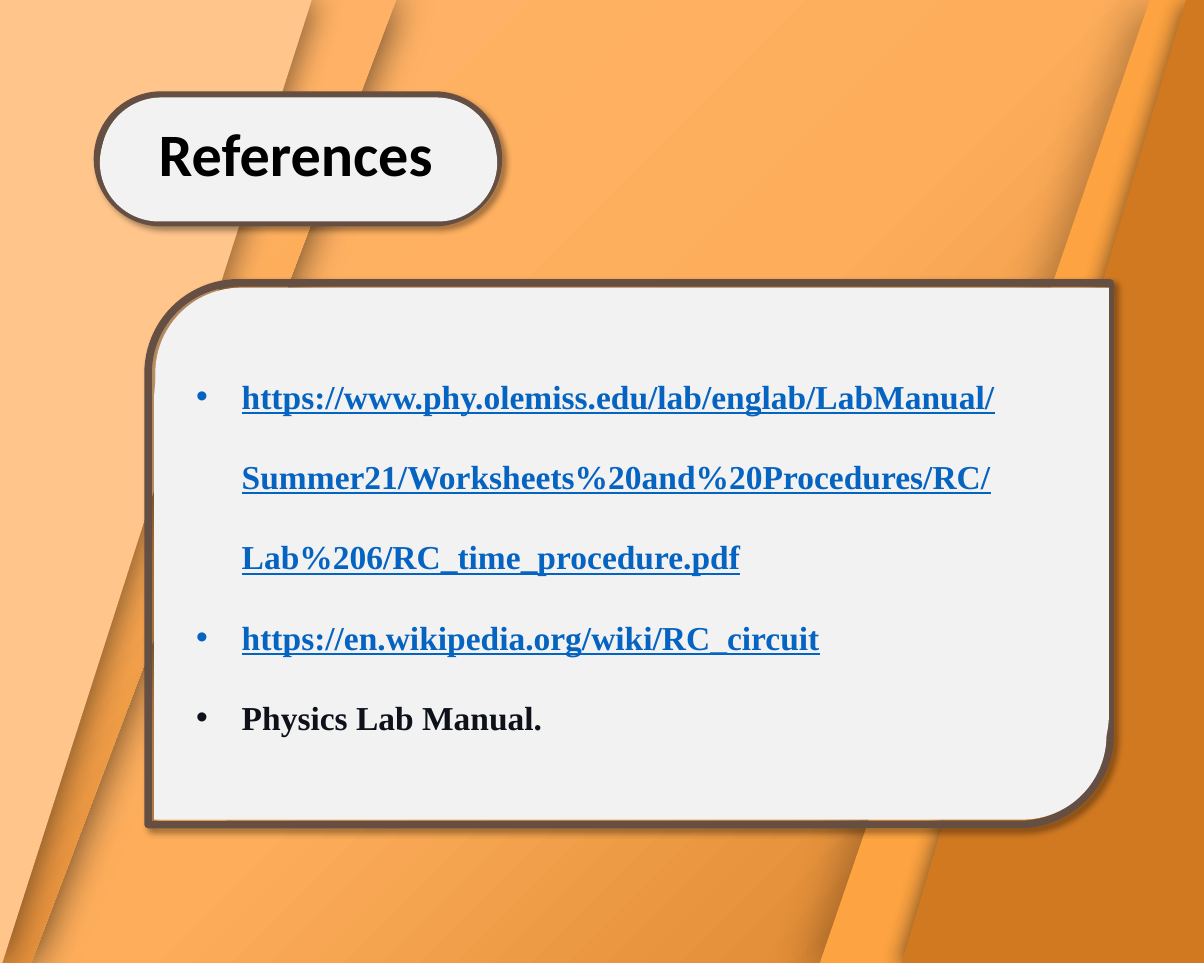
from lxml.etree import SubElement
from pptx import Presentation
from pptx.dml.color import RGBColor
from pptx.enum.shapes import MSO_SHAPE
from pptx.enum.text import MSO_AUTO_SIZE
from pptx.oxml.ns import qn
from pptx.util import Inches, Pt

W, H = 10, 8
BROWN, PALE, LINK, INK = "654F43", "F2F2F2", "0563C1", "0E101A"
SOFT = ("000000", 40, 4, 3, 45)  # colour, opacity %, blur pt, distance pt, angle

BACKDROP = [(0, "FFB66D"), (18, "FFB265"), (50, "FEAE5B"), (100, "D17921")]
STRIPE = [(0, "FFB66D"), (32, "FFB265"), (42, "FEAE5B"), (100, "D17921")]
LEFT, RIGHT = -0.15, 10.05  # outer edges of the slanted bands

# outer edge, slanted edge at top and bottom, fill, shadow
BANDS = [
    (LEFT, 3.29, 0.26, STRIPE, ("000000", 68, 26, 0, 0)),
    (LEFT, 2.59, 0.02, "FFC58B", ("000000", 45, 19, 3, 0)),
    (RIGHT, 9.55, 6.81, "FDA341", ("000000", 26, 25, 10, 150)),
    (RIGHT, 9.85, 7.49, "D17921", ("000000", 48, 12, 3, 135)),
]

# preset, corner size, frame box, boxes of the pale panels
PLATES = [
    (MSO_SHAPE.ROUNDED_RECTANGLE, 0.5, (0.81, 0.79, 3.33, 1.06),
     [(0.84, 0.81, 3.28, 1), (0.83, 0.86, 3.3, 0.98)]),
    (MSO_SHAPE.ROUND_2_DIAG_RECTANGLE, 0.16667, (1.23, 2.35, 7.99, 4.5),
     [(1.29, 2.39, 7.92, 4.26), (1.28, 2.61, 7.91, 4.2)]),
]

TITLE, TITLE_BOX = "References", (1.22, 0.92, 3.01, 0.71)
REFERENCES_BOX = (1.53, 2.74, 7.4, 3.36)
REFERENCES = [
    ("https://www.phy.olemiss.edu/lab/englab/LabManual/Summer21/"
     "Worksheets%20and%20Procedures/RC/Lab%206/RC_time_procedure.pdf", True),
    ("https://en.wikipedia.org/wiki/RC_circuit", True),
    ("Physics Lab Manual.", False),
]


def rgb(value):
    return RGBColor.from_string(value)


def child(parent, tag, **attrs):
    return SubElement(parent, qn(tag), {k: str(v) for k, v in attrs.items()})


def set_gradient(grad, stops, angle=None):
    """Fill a gradFill element; without an angle it spreads from the top left."""
    for old in list(grad):
        grad.remove(old)
    gs_list = child(grad, "a:gsLst")
    for pos, value in stops:
        child(child(gs_list, "a:gs", pos=pos * 1000), "a:srgbClr", val=value)
    if angle is None:
        child(child(grad, "a:path", path="circle"), "a:fillToRect",
              r=100000, b=100000)
    else:
        child(grad, "a:lin", ang=angle * 60000, scaled=0)


def add_shadow(effects, shadow):
    value, opacity, blur, dist, angle = shadow
    sh = child(effects, "a:outerShdw", blurRad=Pt(blur), dist=Pt(dist),
               dir=angle * 60000, algn="ctr", rotWithShape=0)
    child(child(sh, "a:srgbClr", val=value), "a:alpha", val=opacity * 1000)


def style(sp, fill=None, line=None, shadow=None):
    sp.shadow.inherit = False
    if isinstance(fill, list):
        sp.fill.gradient()
        set_gradient(sp.element.spPr.find(qn("a:gradFill")), fill, 45)
    elif fill:
        sp.fill.solid()
        sp.fill.fore_color.rgb = rgb(fill)
    else:
        sp.fill.background()
    if line:
        sp.line.color.rgb = rgb(line)
        sp.line.width = Pt(4.5)
    else:
        sp.line.fill.background()
    if shadow:
        add_shadow(sp.element.spPr.find(qn("a:effectLst")), shadow)


def add_text(slide, box):
    tf = slide.shapes.add_textbox(*map(Inches, box)).text_frame
    tf.word_wrap = True
    tf.auto_size = MSO_AUTO_SIZE.SHAPE_TO_FIT_TEXT
    return tf


def set_text(p, text, font, size, color, underline=False):
    r = p.add_run()
    r.text = text
    p.font.name, p.font.size, p.font.bold = font, Pt(size), True
    f = r.font
    f.name, f.size, f.bold = font, Pt(size), True
    f.underline = underline
    f.fill.solid()
    f.fill.fore_color.rgb = rgb(color)
    effects = r._r.get_or_add_rPr().makeelement(qn("a:effectLst"))
    r._r.rPr.find(qn("a:solidFill")).addnext(effects)
    add_shadow(effects, SOFT)


def main():
    prs = Presentation()
    prs.slide_width, prs.slide_height = Inches(W), Inches(H)
    slide = prs.slides.add_slide(prs.slide_layouts[6])

    # Background
    slide.background.fill.gradient()
    set_gradient(next(slide.element.iter(qn("a:gradFill"))), BACKDROP)

    # Slanted bands
    for edge, top, bottom, fill, shadow in BANDS:
        points = [(top, 0), (bottom, H), (edge, H)]
        fb = slide.shapes.build_freeform(Inches(edge), 0)
        fb.add_line_segments([(Inches(x), Inches(y)) for x, y in points])
        style(fb.convert_to_shape(), fill, shadow=shadow)

    # Framed plates
    for preset, corner, frame, panels in PLATES:
        shapes = slide.shapes.add_group_shape().shapes
        for box in [frame, *panels]:
            sp = shapes.add_shape(preset, *map(Inches, box))
            sp.adjustments[0] = corner
            if box is frame:
                style(sp, line=BROWN, shadow=SOFT)
            else:
                style(sp, PALE)

    # Reference list
    tf = add_text(slide, REFERENCES_BOX)
    for i, (text, is_link) in enumerate(REFERENCES):
        p = tf.add_paragraph() if i else tf.paragraphs[0]
        p.line_spacing = 2.0
        pPr = p._p.get_or_add_pPr()
        pPr.set("marL", str(Inches(0.38)))
        pPr.set("indent", str(-Inches(0.38)))
        child(pPr, "a:buFont", typeface="Arial")
        child(pPr, "a:buChar", char="•")
        set_text(p, text, "Times New Roman", 20, LINK if is_link else INK, is_link)

    # Title
    set_text(add_text(slide, TITLE_BOX).paragraphs[0], TITLE, "Calibri", 36, "000000")

    prs.save("out.pptx")


if __name__ == "__main__":
    main()
